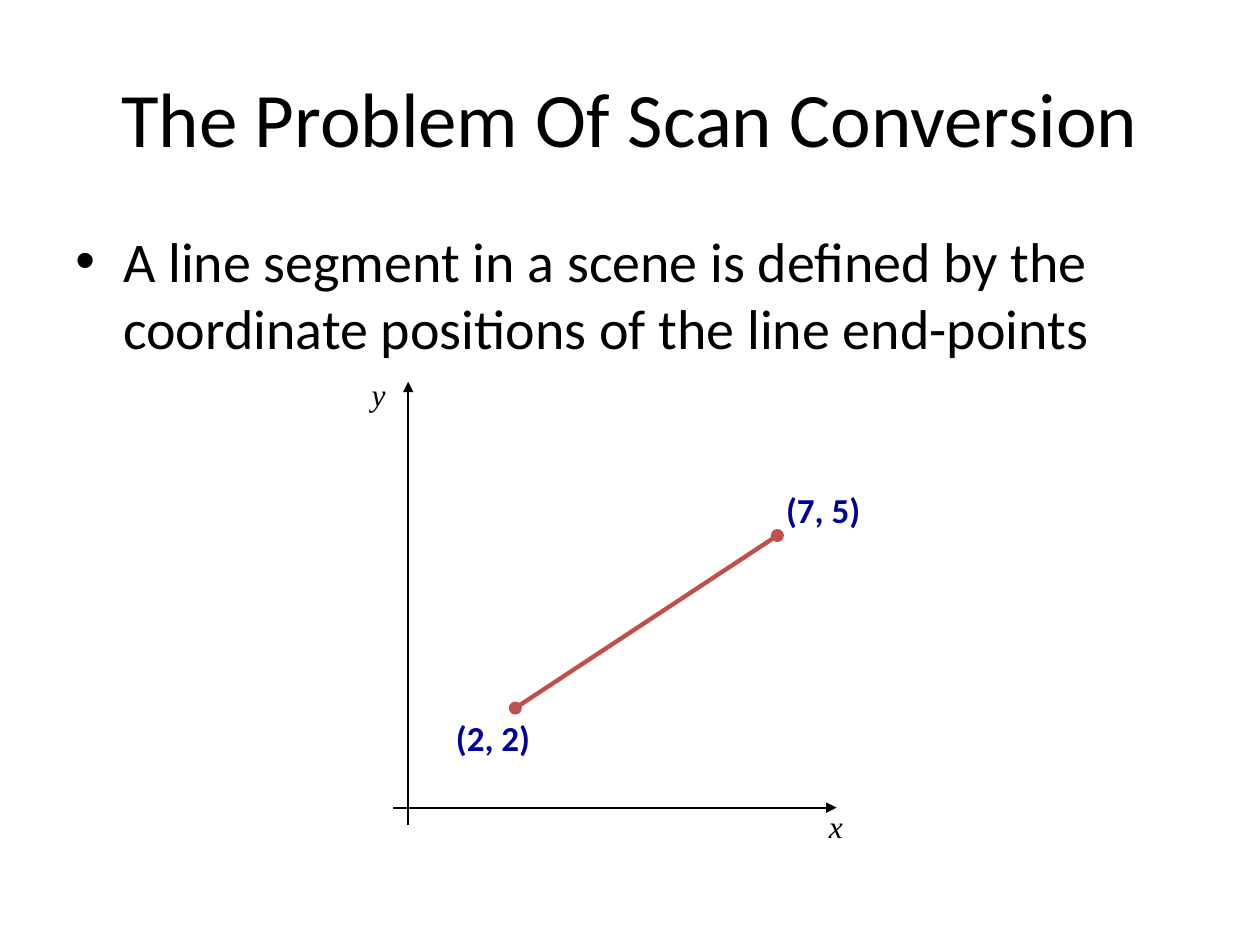
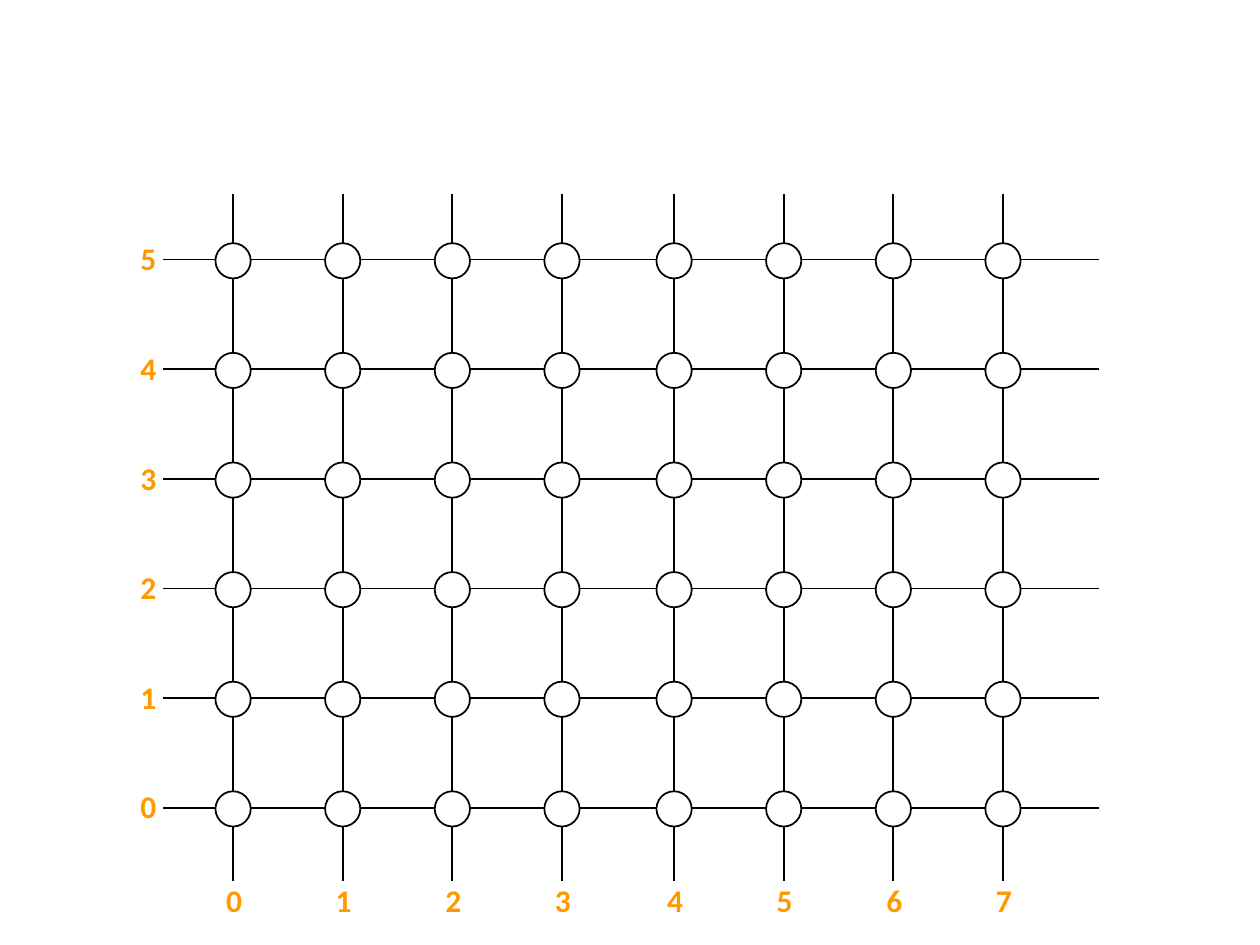
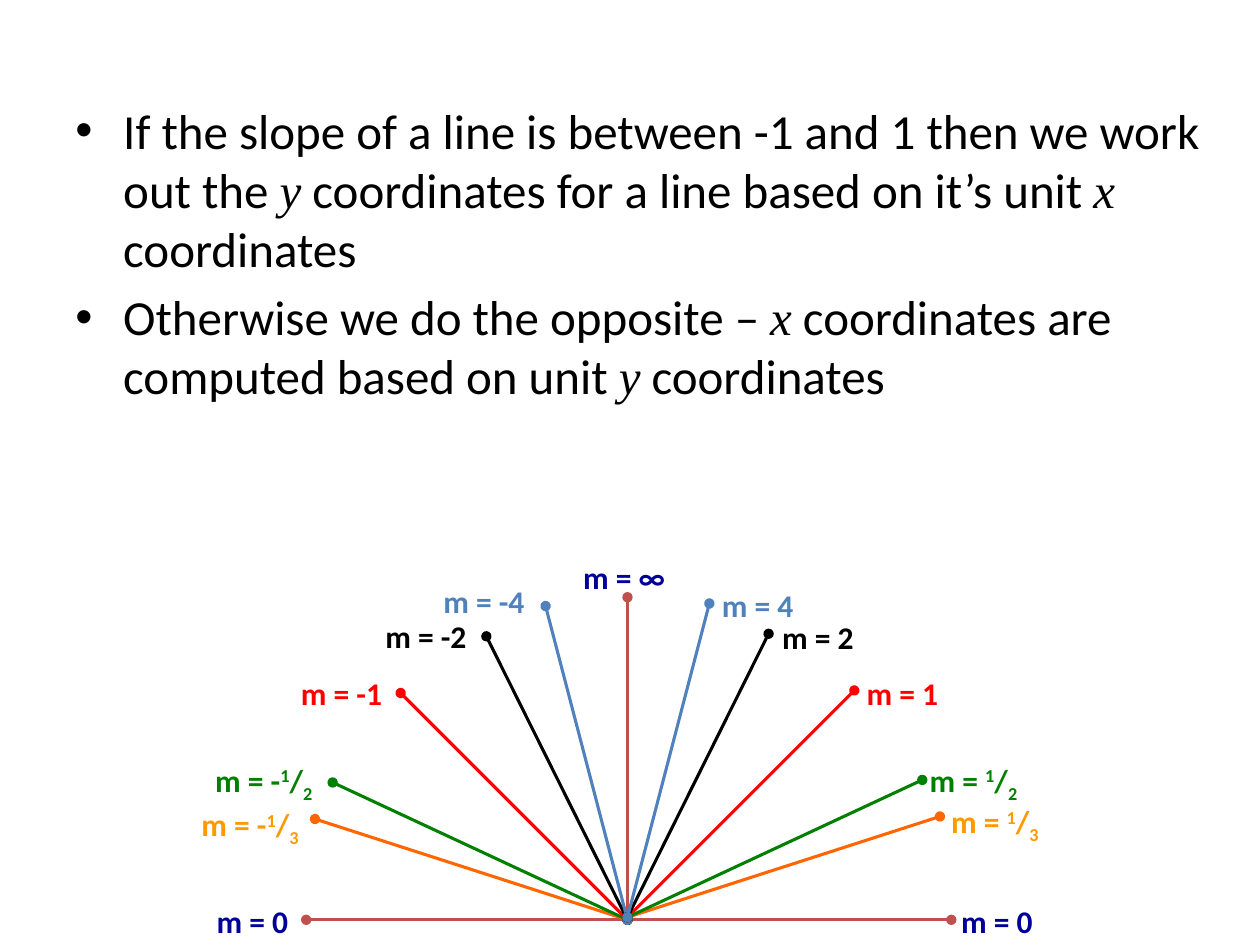
from lxml.etree import SubElement as Sub
from pptx import Presentation
from pptx.dml.color import RGBColor as Rgb
from pptx.enum.shapes import MSO_CONNECTOR as Conn, MSO_SHAPE as Shape
from pptx.enum.text import MSO_ANCHOR as Anchor, MSO_AUTO_SIZE as Fit, PP_ALIGN as Align
from pptx.oxml.ns import qn
from pptx.util import Inches, Pt

HUES = {
    "ink": "000000", "paper": "FFFFFF", "navy": "000099", "brick": "C0504D",
    "amber": "FF9900", "orange": "FF6600", "red": "FF0000",
    "green": "008000", "blue": "4F81BD",
}
SANS, SERIF = "Calibri", "Times New Roman"
BASES = {"^": "30000", "_": "-25000"}


def hue(name):
    return Rgb.from_string(HUES[name])


def fill_para(para, text, size, color="ink", bold=False):
    for part in text.split("|"):
        mark = part[0] if part[0] in "*^_" else ""
        run = para.add_run()
        run.text = part[len(mark):]
        font = run.font
        font.size, font.bold, font.italic = Pt(size), bold, mark == "*"
        font.name = SERIF if mark == "*" else SANS
        font.color.rgb = hue(color)
        if mark in BASES:
            run._r.get_or_add_rPr().set("baseline", BASES[mark])


def add_box(slide, x, y, wide, high):
    return slide.shapes.add_textbox(Inches(x), Inches(y), Inches(wide), Inches(high)).text_frame


def add_label(slide, x, y, wide, text, color="ink", size=18, bold=True, align=Align.LEFT):
    frame = add_box(slide, x, y, wide, 0.43 if size > 18 else 0.4)
    frame.word_wrap = False
    frame.auto_size = Fit.SHAPE_TO_FIT_TEXT
    frame.paragraphs[0].alignment = align
    fill_para(frame.paragraphs[0], text, size, color, bold)


def add_line(slide, x1, y1, x2, y2, color="ink", width=1, head=None, tail=None):
    line = slide.shapes.add_connector(
        Conn.STRAIGHT, Inches(x1), Inches(y1), Inches(x2), Inches(y2))
    line.line.color.rgb = hue(color)
    line.line.width = Pt(width)
    pen = line.line._get_or_add_ln()
    for tag, kind in (("a:headEnd", head), ("a:tailEnd", tail)):
        if kind:
            Sub(pen, qn(tag), type=kind)
    Sub(line._element.spPr, qn("a:effectLst"))


def add_title(slide, x, y, wide, high, text):
    frame = add_box(slide, x, y, wide, high)
    frame.word_wrap = True
    frame.vertical_anchor = Anchor.MIDDLE
    frame.paragraphs[0].alignment = Align.CENTER
    fill_para(frame.paragraphs[0], text, 44)


def add_points(slide, x, y, wide, high, size, points):
    frame = add_box(slide, x, y, wide, high)
    frame.word_wrap = True
    for i, point in enumerate(points):
        para = frame.add_paragraph() if i else frame.paragraphs[0]
        para.space_before = Pt(size * 0.2)
        props = para._p.get_or_add_pPr()
        props.set("marL", str(Inches(0.38)))
        props.set("indent", str(Inches(-0.38)))
        Sub(props, qn("a:buFont"), typeface="Arial")
        Sub(props, qn("a:buChar"), char="•")
        fill_para(para, point, size)


def add_plot(slide, x, y):
    add_line(slide, x, y + 0.14, x, y - 3.38, tail="triangle")
    add_line(slide, x - 0.12, y, x + 3.4, y, tail="triangle")
    add_label(slide, x + 3.24, y - 0.05, 0.31, "*x", bold=False)
    add_label(slide, x - 0.39, y - 3.48, 0.31, "*y", bold=False)
    add_line(slide, x + 0.85, y - 0.79, x + 2.93, y - 2.16, "brick", 2.5, "oval", "oval")
    add_label(slide, x + 0.28, y - 0.77, 0.85, "(2, 2)", "navy", 20)
    add_label(slide, x + 2.9, y - 2.58, 0.85, "(7, 5)", "navy", 20)


def add_grid(slide, x, y, wide, high):
    step, dot = 0.87, 0.28
    cols = [x + 0.56 + step * i + (0.02 if i > 3 else 0) for i in range(8)]
    rows = [y + high - 0.58 - step * i for i in range(6)]
    for row in rows:
        add_line(slide, x + wide, row, x, row)
    for col in cols:
        add_line(slide, col, y, col, y + high)
    for row in rows:
        for col in cols:
            node = slide.shapes.add_shape(
                Shape.OVAL, Inches(col - 0.14), Inches(row - 0.13), Inches(dot), Inches(dot))
            node.shadow.inherit = False
            node.fill.solid()
            node.fill.fore_color.rgb = hue("paper")
            node.line.color.rgb = hue("ink")
            node.line.width = Pt(1)
    for i, row in enumerate(rows):
        add_label(slide, x - 0.29, row - 0.21, 0.34, str(i), "amber", align=Align.RIGHT)
    for i, col in enumerate(cols):
        add_label(slide, col - 0.17, y + high - 0.05, 0.34, str(i), "amber", align=Align.RIGHT)


RAYS = [
    ("1", 1.8, 1.8, "red", "red", 0.85, (-2.69, -2), (1.8, -2)),
    ("^1|/|_3", 2.48, 0.8, "orange", "amber", 0.96, (-3.48, -0.96), (2.47, -0.98)),
    ("^1|/|_2", 2.34, 1.09, "green", "green", 0.96, (-3.37, -1.31), (2.3, -1.31)),
    ("2", 1.12, 2.25, "ink", "ink", 0.85, (-2.02, -2.45), (1.13, -2.44)),
    ("4", 0.65, 2.49, "blue", "blue", 0.85, (-1.56, -2.73), (0.65, -2.7)),
]


def add_fan(slide, x, y):
    def ray(x1, y1, x2, y2, color):
        add_line(slide, x1, y1, x2, y2, color, 1.75, "oval", "oval")

    ray(x - 2.55, y, x + 2.57, y, "brick")
    ray(x, y, x, y - 2.56, "brick")
    for side, sign, lift in ((-1, "-", 0), (1, "", 0.02)):
        for slope, run, rise, color, ink, wide, *spots in RAYS:
            ray(x, y - lift, x + side * run, y - lift - rise, color)
            dx, dy = spots[side > 0]
            gap = "|" if slope[0] == "^" else ""
            add_label(slide, x + dx, y + dy, wide + (0 if side > 0 else 0.08),
                      f"m = {sign}{gap}{slope}", ink)
    for dx, dy, wide, slope in ((-3.36, -0.19, 0.85, "0"), (2.55, -0.19, 0.85, "0"),
                                (-0.45, -2.92, 0.89, "∞")):
        add_label(slide, x + dx, y + dy, wide, f"m = {slope}", "navy")


def main():
    deck = Presentation()
    deck.slide_width, deck.slide_height = Inches(10), Inches(7.5)
    scene, mesh, slopes = [deck.slides.add_slide(deck.slide_layouts[6]) for _ in range(3)]
    add_title(scene, 0.5, 0.3, 9, 1.25, "The Problem Of Scan Conversion")
    add_points(scene, 0.5, 1.75, 9, 4.95, 32, [
        "A line segment in a scene is defined by the coordinate positions of the line end-points"])
    add_plot(scene, 3.24, 6.41)
    add_grid(mesh, 1.29, 1.54, 7.43, 5.45)
    add_points(slopes, 0.5, 0.75, 9.5, 6.04, 28, [
        "If the slope of a line is between -1 and 1 then we work out the |*y"
        "| coordinates for a line based on it’s unit |*x| coordinates",
        "Otherwise we do the opposite – |*x| coordinates are computed based on unit |*y"
        "| coordinates"])
    add_fan(slopes, 4.98, 7.3)
    deck.save("out.pptx")


if __name__ == "__main__":
    main()
